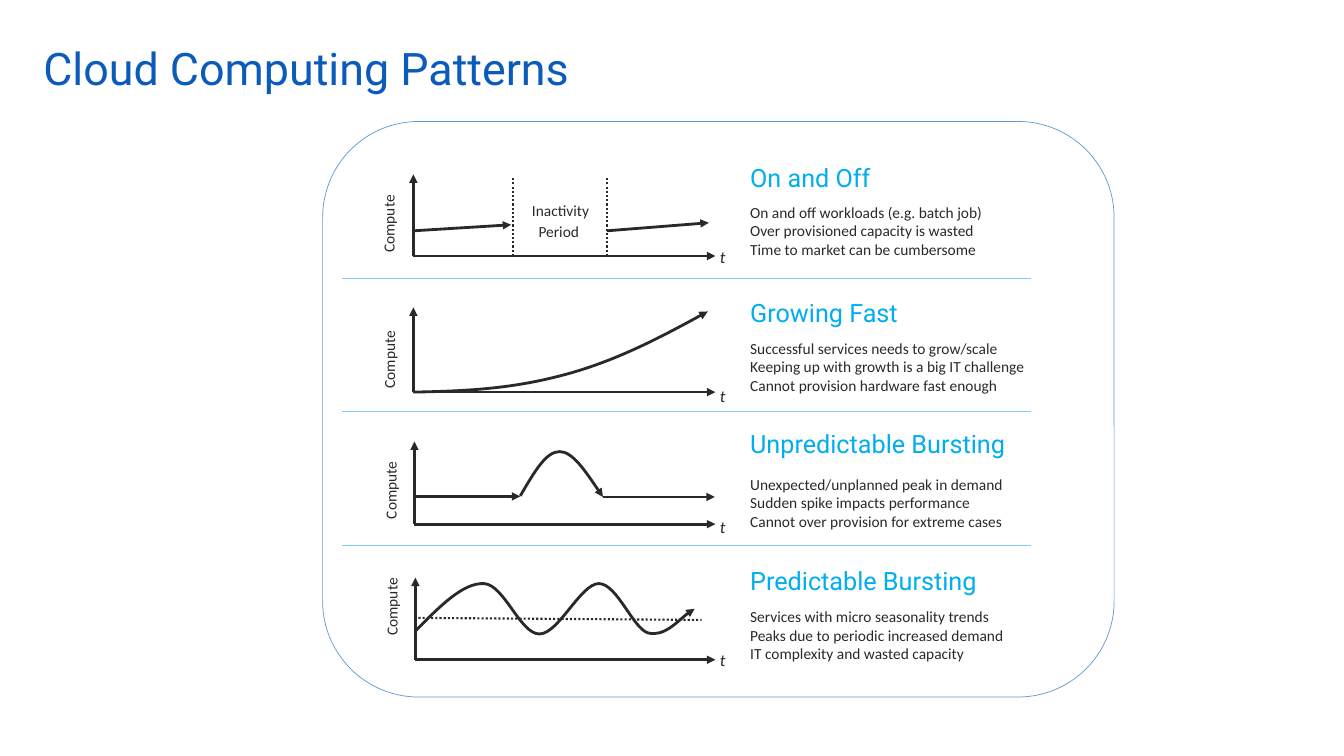
import dataclasses
import typing

import pptx
import pptx.dml.color
import pptx.enum.dml
import pptx.enum.shapes
import pptx.enum.text
import pptx.oxml
import pptx.oxml.ns
import pptx.util

Pt = pptx.util.Pt
ALIGN = pptx.enum.text.PP_ALIGN
ANCHOR = pptx.enum.text.MSO_ANCHOR
SHAPES = pptx.enum.shapes.MSO_SHAPE

SLIDE_WIDTH = pptx.util.Inches(13.33)
SLIDE_HEIGHT = pptx.util.Inches(7.5)
COLUMN = SLIDE_WIDTH / 133.3
ROW = SLIDE_HEIGHT / 75

COLORS = {
    "title": "0A5BBA",
    "heading": "00AEEF",
    "ink": "292929",
    "frame": "5B9BD5",
    "divider": "7ECCFF",
    "paper": "FFFFFF",
}

Point = tuple[float, float]


@dataclasses.dataclass(frozen=True)
class TextStyle:
    color: str
    font: dict[str, typing.Any]
    paragraph: dict[str, typing.Any] = dataclasses.field(default_factory=dict)
    inset: Point = (0, 0)
    hanging: float = 0


@dataclasses.dataclass(frozen=True)
class Stroke:
    start: Point
    end: Point
    dotted: bool = False


@dataclasses.dataclass(frozen=True)
class Pattern:
    heading: str
    points: tuple[str, ...]
    heading_row: float
    points_row: float
    origin: Point
    axis_top: float
    label_center: Point
    time_row: float
    strokes: tuple[Stroke, ...] = ()
    curve: tuple[Point, ...] = ()


TITLE = TextStyle("title", {"size": Pt(32), "name": "Roboto"},
                  {"line_spacing": 0.9, "alignment": ALIGN.LEFT}, (1, 0.5))
HEADING = TextStyle("heading", {"size": Pt(18), "name": "Roboto"},
                    {"line_spacing": 0.9, "space_before": Pt(3.6)}, (0, 0.5))
BODY = TextStyle("ink", {"size": Pt(11), "name": "Calibri"})
TIME = TextStyle("ink", {"size": Pt(12), "name": "Calibri", "italic": True},
                 {"space_before": Pt(2.4)})
LABEL = TextStyle("ink", BODY.font,
                  {"alignment": ALIGN.CENTER, "line_spacing": Pt(8.6), "space_before": Pt(2.2)},
                  (0.8, 0.4), 2.7)
PERIOD = TextStyle("ink", BODY.font,
                   {"alignment": ALIGN.CENTER, "line_spacing": Pt(8.6), "space_after": Pt(6.5)},
                   (0.8, 0.4), 2.7)

PATTERNS = (
    Pattern("On and Off",
            ("On and off workloads (e.g. batch job)",
             "Over provisioned capacity is wasted",
             "Time to market can be cumbersome"),
            15.95, 20.15, (41, 25.4), 17.3, (38.9, 22.05), 24.5,
            (Stroke((41, 22.9), (50.7, 22.3)), Stroke((60.2, 22.9), (70.3, 22.1)),
             Stroke((50.9, 25.4), (50.9, 17.6), True), Stroke((60.2, 25.4), (60.2, 17.6), True))),
    Pattern("Growing Fast",
            ("Successful services needs to grow/scale",
             "Keeping up with growth is a big IT challenge",
             "Cannot provision hardware fast enough"),
            29.3, 33.6, (41, 38.9), 30.5, (38.95, 35.5), 38.3,
            curve=((41, 38.9), (46.8, 38.8), (51, 38.5), (55.9, 37.2),
                   (60.8, 35.9), (65.5, 33.5), (70.2, 30.9))),
    Pattern("Unpredictable Bursting",
            ("Unexpected/unplanned peak in demand",
             "Sudden spike impacts performance",
             "Cannot over provision for extreme cases"),
            42.35, 47.1, (41.1, 52), 43.8, (39.1, 48.45), 51.3,
            (Stroke((41.1, 49.25), (51.6, 49.25)), Stroke((59.8, 49.3), (70.9, 49.3))),
            ((51.6, 49.2), (52.9, 47), (54.1, 44.8), (55.5, 44.8),
             (56.8, 44.8), (58.3, 47.1), (59.8, 49.3))),
    Pattern("Predictable Bursting",
            ("Services with micro seasonality trends",
             "Peaks due to periodic increased demand",
             "IT complexity and wasted capacity"),
            55.9, 60.25, (41.2, 65.45), 57.3, (39.2, 60.05), 64.5,
            (Stroke((41.5, 61.3), (69.6, 61.5), True),),
            ((41.2, 62.6), (43.6, 60.2), (45.9, 57.8), (48, 57.9),
             (50, 58), (51.6, 62.9), (53.5, 62.9), (55.4, 62.9), (57.6, 57.9), (59.4, 57.9),
             (61.2, 57.9), (62.8, 62.4), (64.3, 62.8), (65.9, 63.2), (68, 60.8), (68.9, 60.4))),
)


def across(columns: float) -> int:
    return round(columns * COLUMN)


def down(rows: float) -> int:
    return round(rows * ROW)


def place(columns: float, rows: float, width: float, height: float) -> tuple[int, int, int, int]:
    return across(columns), down(rows), across(width), down(height)


def rgb(name: str) -> pptx.dml.color.RGBColor:
    return pptx.dml.color.RGBColor.from_string(COLORS[name])


def set_formats(target: typing.Any, formats: dict[str, typing.Any]) -> None:
    for attribute, value in formats.items():
        setattr(target, attribute, value)


def write(frame: typing.Any, lines: typing.Sequence[str], style: TextStyle,
          anchor: typing.Any = ANCHOR.TOP) -> None:
    side, edge = across(style.inset[0]), down(style.inset[1])
    set_formats(frame, {"word_wrap": True, "auto_size": pptx.enum.text.MSO_AUTO_SIZE.NONE,
                        "vertical_anchor": anchor, "margin_left": side, "margin_right": side,
                        "margin_top": edge, "margin_bottom": edge})
    for index, line in enumerate(lines):
        paragraph = frame.add_paragraph() if index else frame.paragraphs[0]
        set_formats(paragraph, style.paragraph)
        if style.hanging:
            properties = paragraph._p.get_or_add_pPr()
            properties.set("marL", str(across(style.hanging)))
            properties.set("indent", str(-across(style.hanging)))
        run = paragraph.add_run()
        run.text = line
        set_formats(run.font, style.font)
        run.font.color.rgb = rgb(style.color)


def add_text(shapes: typing.Any, box: tuple[int, int, int, int], lines: typing.Sequence[str],
             style: TextStyle, rotation: float = 0) -> None:
    text = shapes.add_textbox(*box)
    text.rotation = rotation
    write(text.text_frame, lines, style)


def format_line(shape: typing.Any, color: str, width: float,
                dotted: bool = False, arrow: bool = False) -> None:
    shape.line.color.rgb = rgb(color)
    shape.line.width = Pt(width)
    if dotted:
        shape.line.dash_style = pptx.enum.dml.MSO_LINE.ROUND_DOT
    properties = shape._element.spPr
    if arrow:
        head = pptx.oxml.parse_xml(f'<a:tailEnd {pptx.oxml.ns.nsdecls("a")} type="triangle"/>')
        properties.find(pptx.oxml.ns.qn("a:ln")).append(head)
    properties.append(pptx.oxml.parse_xml(f'<a:effectLst {pptx.oxml.ns.nsdecls("a")}/>'))


def add_stroke(shapes: typing.Any, stroke: Stroke, color: str = "ink",
               width: float = 2, arrow: bool = True) -> None:
    (x1, y1), (x2, y2) = stroke.start, stroke.end
    connector = shapes.add_connector(pptx.enum.shapes.MSO_CONNECTOR.STRAIGHT,
                                     across(x1), down(y1), across(x2), down(y2))
    format_line(connector, color, 1.5 if stroke.dotted else width,
                stroke.dotted, arrow and not stroke.dotted)


def add_curve(shapes: typing.Any, controls: tuple[Point, ...]) -> None:
    start, *following = [(across(x), down(y)) for x, y in controls]
    builder = shapes.build_freeform(*start)
    builder.add_line_segments(following, close=False)
    demand = builder.convert_to_shape()
    segments = list(demand._element.iter(pptx.oxml.ns.qn("a:lnTo")))
    for first in range(0, len(segments), 3):
        bend = pptx.oxml.parse_xml(f'<a:cubicBezTo {pptx.oxml.ns.nsdecls("a")}/>')
        segments[first].addprevious(bend)
        for segment in segments[first:first + 3]:
            bend.append(segment[0])
            segment.getparent().remove(segment)
    demand.fill.background()
    format_line(demand, "ink", 2, arrow=True)


def add_pattern(shapes: typing.Any, pattern: Pattern) -> None:
    x, y = pattern.origin
    axes = (Stroke((x, y), (x, pattern.axis_top)), Stroke((x, y), (70.95, y)))
    for stroke in axes + pattern.strokes:
        add_stroke(shapes, stroke)
    if pattern.curve:
        add_curve(shapes, pattern.curve)
    center_x, center_y = pattern.label_center
    add_text(shapes, place(center_x - 4.7, center_y - 1.05, 9.4, 2.1), ["Compute "], LABEL, 270)
    add_text(shapes, place(71.4, pattern.time_row, 10.8, 1.2), ["t"], TIME)
    add_text(shapes, place(74.4, pattern.heading_row, 33.9, 3.7), [pattern.heading], HEADING)
    add_text(shapes, place(74.4, pattern.points_row, 31.5, 5.6), pattern.points, BODY)


def main() -> None:
    deck = pptx.Presentation()
    set_formats(deck, {"slide_width": SLIDE_WIDTH, "slide_height": SLIDE_HEIGHT})
    shapes = deck.slides.add_slide(deck.slide_layouts[5]).shapes
    title = shapes.title
    set_formats(title, dict(zip(("left", "top", "width", "height"), place(3.3, 3.3, 123.3, 7.5))))
    write(title.text_frame, ["Cloud Computing Patterns"], TITLE, ANCHOR.MIDDLE)

    frame = shapes.add_shape(SHAPES.ROUNDED_RECTANGLE, *place(32, 12.05, 78.5, 57.1))
    frame.fill.solid()
    frame.fill.fore_color.rgb = rgb("paper")
    format_line(frame, "frame", 0.5)

    for pattern in PATTERNS:
        add_pattern(shapes, pattern)
    add_text(shapes, place(50.3, 20.2, 10.6, 4.2), ["Inactivity", "Period "], PERIOD)
    for row in (27.65, 40.8, 54.1):
        add_stroke(shapes, Stroke((33.9, row), (102.3, row)), "divider", 0.75, False)
    deck.save("out.pptx")


if __name__ == "__main__":
    main()
